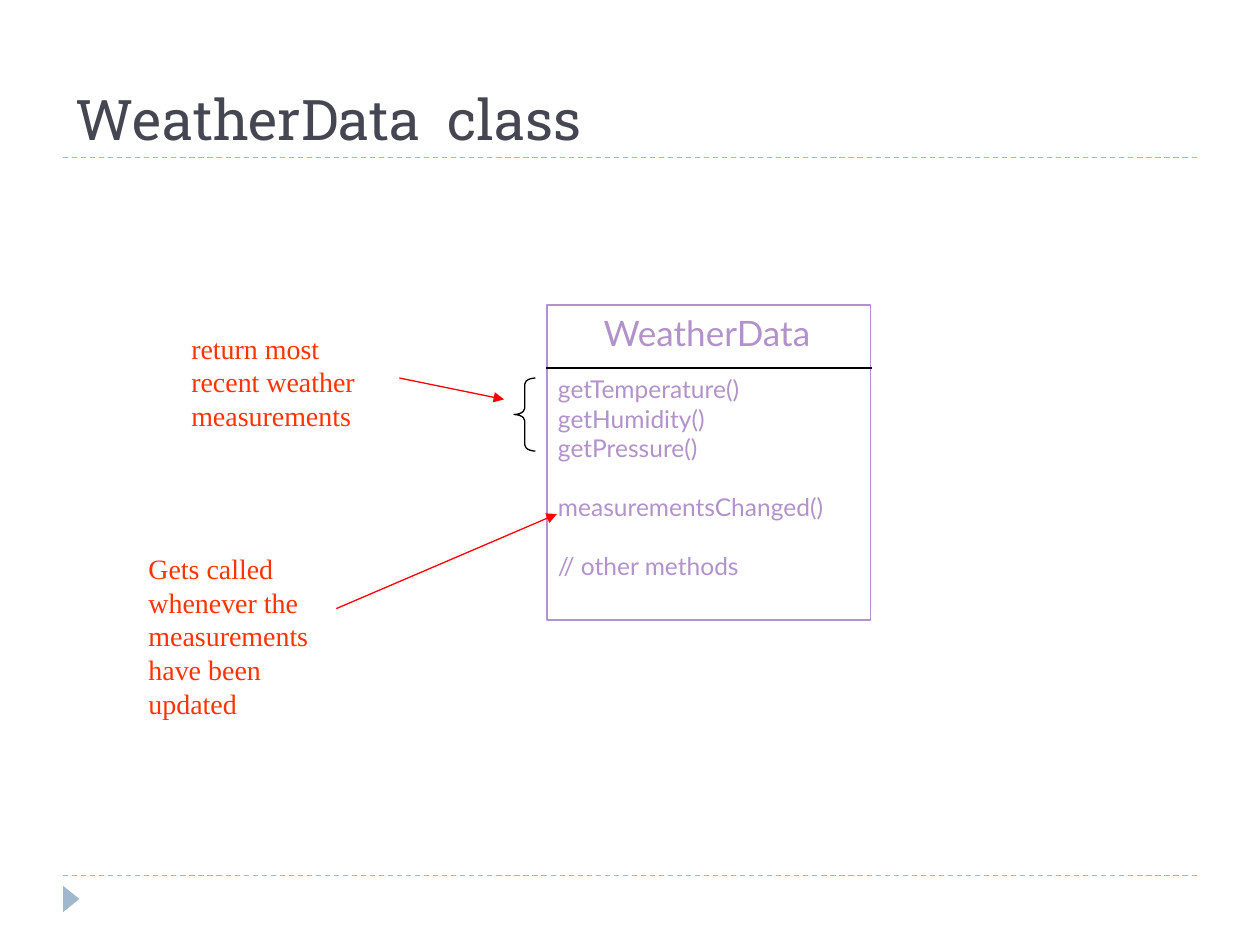
from dataclasses import dataclass

from lxml import etree
from pptx import Presentation
from pptx.dml.color import RGBColor
from pptx.enum.dml import MSO_LINE
from pptx.enum.shapes import MSO_CONNECTOR, MSO_SHAPE
from pptx.enum.text import MSO_ANCHOR, PP_ALIGN
from pptx.oxml.ns import qn
from pptx.util import Inches, Pt

STRAIGHT = MSO_CONNECTOR.STRAIGHT
DASH = MSO_LINE.DASH
TOP, BOTTOM = MSO_ANCHOR.TOP, MSO_ANCHOR.BOTTOM
LEFT, CENTER = PP_ALIGN.LEFT, PP_ALIGN.CENTER

COLORS = {
    "title": "464653",
    "rule": "9FB8CD",
    "class": "B292CA",
    "note": "FF3300",
    "arrow": "FF0000",
    "ink": "000000",
}
METHOD_GAP = 16.8  # one line of 14 pt text


@dataclass
class Label:
    at: tuple[float, float, float, float]
    lines: list[str]
    font: str
    size: float
    color: str
    align: PP_ALIGN = LEFT
    anchor: MSO_ANCHOR = TOP
    side_inset: float = 0.1
    gap_before: tuple[int, ...] = ()  # indexes of lines that start a new group


@dataclass
class Line:
    start: tuple[float, float]
    end: tuple[float, float]
    color: str
    dashed: bool = False
    arrow: bool = False


LINES = [
    Line((0.5, 6.95), (9.5, 6.95), "rule", dashed=True),
    Line((0.5, 1.25), (9.5, 1.25), "rule", dashed=True),
    Line((4.33, 2.92), (6.92, 2.92), "ink"),
    Line((3.17, 3), (4, 3.17), "arrow", arrow=True),
    Line((2.67, 4.83), (4.42, 4.08), "arrow", arrow=True),
]
LABELS = [
    Label((0.5, 0.17, 9, 1.08), ["WeatherData  class"],
          "Roboto Slab", 32, "title", anchor=BOTTOM),
    Label((4.42, 2.42, 2.38, 0.44), ["WeatherData"],
          "Lato", 20, "class", align=CENTER, side_inset=0.05),
    Label((4.33, 2.92, 2.42, 1.97),
          ["getTemperature()", "getHumidity()", "getPressure()",
           "measurementsChanged()", "// other methods"],
          "Lato", 14, "class", gap_before=(3, 4)),
    Label((1.42, 2.58, 1.58, 1.44), ["return most recent weather measurements"],
          "Times New Roman", 16, "note"),
    Label((1.08, 4.33, 1.58, 1.97),
          ["Gets called whenever the measurements have been updated"],
          "Times New Roman", 16, "note"),
]


def rgb(name: str) -> RGBColor:
    return RGBColor.from_string(COLORS[name])


def add_label(page, label: Label) -> None:
    box = page.shapes.add_textbox(*map(Inches, label.at))
    frame = box.text_frame
    frame.word_wrap = True
    frame.vertical_anchor = label.anchor
    frame.margin_left = frame.margin_right = Inches(label.side_inset)
    frame.margin_top = frame.margin_bottom = Inches(0.05)
    for index, text in enumerate(label.lines):
        para = frame.add_paragraph() if index else frame.paragraphs[0]
        para.text = text
        para.alignment = label.align
        if index in label.gap_before:
            para.space_before = Pt(METHOD_GAP)
        para.font.name = label.font
        para.font.size = Pt(label.size)
        para.font.color.rgb = rgb(label.color)


def add_line(page, line: Line) -> None:
    connector = page.shapes.add_connector(
        STRAIGHT, *map(Inches, line.start + line.end))
    connector.line.color.rgb = rgb(line.color)
    connector.line.width = Pt(0.75)
    if line.dashed:
        connector.line.dash_style = DASH
    if line.arrow:
        outline = connector.line._get_or_add_ln()
        etree.SubElement(outline, qn("a:tailEnd"), type="triangle")
    etree.SubElement(connector._element.spPr, qn("a:effectLst"))


def add_outline(page, preset: MSO_SHAPE, at: tuple, color: str, width: float):
    """Add an unfilled preset shape."""
    shape = page.shapes.add_shape(preset, *map(Inches, at))
    shape.shadow.inherit = False
    shape.fill.background()
    shape.line.color.rgb = rgb(color)
    shape.line.width = Pt(width)
    return shape


def add_corner_marker(page) -> None:
    marker = page.shapes.add_shape(
        MSO_SHAPE.ISOSCELES_TRIANGLE, *map(Inches, (0.46, 7.07, 0.21, 0.13)))
    marker.rotation = 90
    marker.shadow.inherit = False
    marker.fill.solid()
    marker.fill.fore_color.rgb = rgb("rule")
    marker.line.fill.background()


def main() -> None:
    deck = Presentation()
    deck.slide_width, deck.slide_height = Inches(10), Inches(7.5)
    page = deck.slides.add_slide(deck.slide_layouts[6])
    add_corner_marker(page)
    add_outline(page, MSO_SHAPE.RECTANGLE, (4.34, 2.42, 2.57, 2.5), "class", 1)
    brace = add_outline(
        page, MSO_SHAPE.LEFT_BRACE, (4.08, 3, 0.17, 0.58), "ink", 0.75)
    brace.adjustments[0] = 0.29
    for label in LABELS:
        add_label(page, label)
    for line in LINES:
        add_line(page, line)
    deck.save("out.pptx")


if __name__ == "__main__":
    main()
